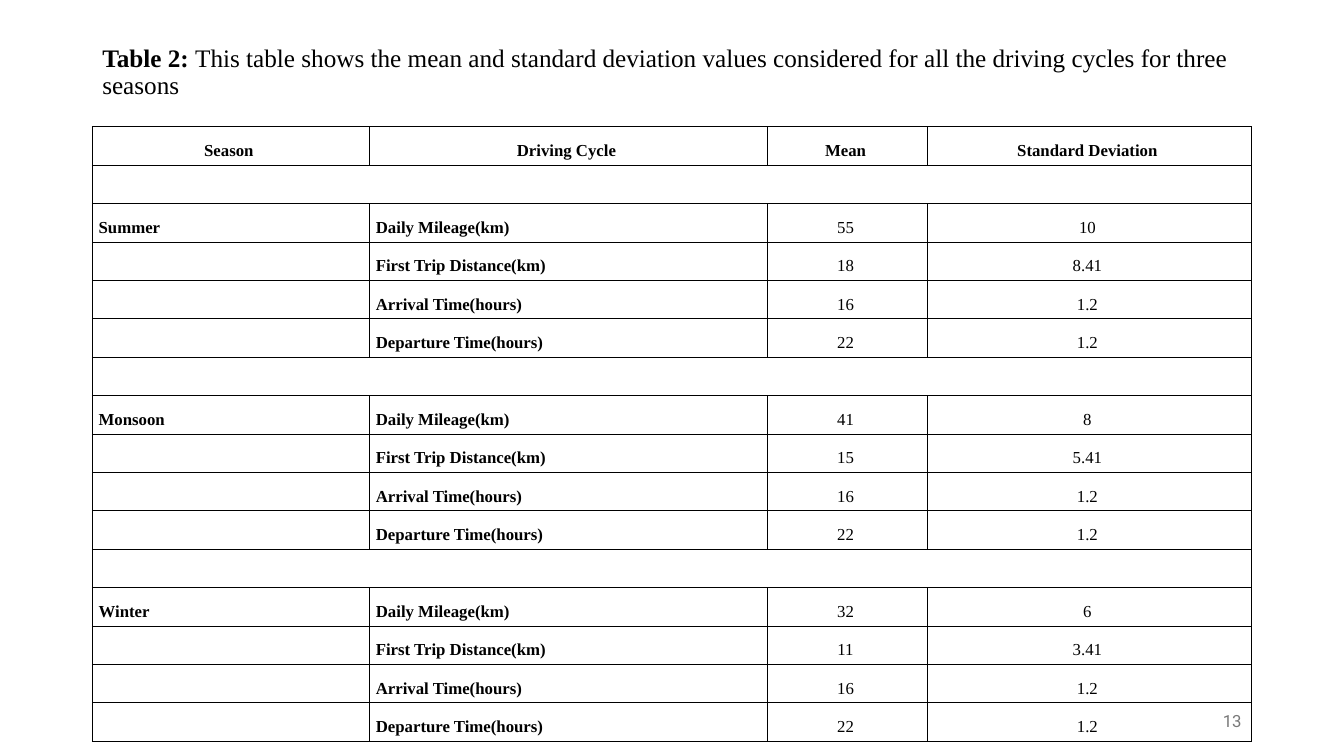
"""Build a slide with a table of seasonal driving cycle statistics."""
import pptx
import pptx.util
import pptx.dml.color
import pptx.enum.text
import pptx.oxml

Pt = pptx.util.Pt
ALIGN = pptx.enum.text.PP_ALIGN
MIDDLE = pptx.enum.text.MSO_ANCHOR.MIDDLE
NS = "http://schemas.openxmlformats.org/drawingml/2006/main"


def style(r, size, color, name="Times New Roman", bold=False):
    r.font.size = Pt(size)
    r.font.name = name
    r.font.bold = bold
    r.font.color.rgb = pptx.dml.color.RGBColor.from_string(color)


def add_text(s, left, top, width, height):
    tf = s.shapes.add_textbox(Pt(left), Pt(top), Pt(width), Pt(height)).text_frame
    tf.word_wrap = True
    tf.vertical_anchor = MIDDLE
    return tf.paragraphs[0]


prs = pptx.Presentation()
prs.slide_width, prs.slide_height = Pt(960), Pt(540)
s = prs.slides.add_slide(prs.slide_layouts[6])

p = add_text(s, 66, 0, 828, 104.4)
p.line_spacing = 0.9
for text, bold in [
    ("Table 2: ", True),
    ("This table shows the mean and standard deviation values considered "
     "for all the driving cycles for three seasons", False),
]:
    r = p.add_run()
    r.text = text
    style(r, 18, "000000", bold=bold)

cycles = ["Daily Mileage(km)", "First Trip Distance(km)",
          "Arrival Time(hours)", "Departure Time(hours)"]
seasons = {
    "Summer": [("55", "10"), ("18", "8.41"), ("16", "1.2"), ("22", "1.2")],
    "Monsoon": [("41", "8"), ("15", "5.41"), ("16", "1.2"), ("22", "1.2")],
    "Winter": [("32", "6"), ("11", "3.41"), ("16", "1.2"), ("22", "1.2")],
}
rows = [["Season", "Driving Cycle", "Mean", "Standard Deviation"]]
for season, values in seasons.items():
    rows.append([""] * 4)
    for i, (cycle, (mean, deviation)) in enumerate(zip(cycles, values)):
        rows.append([season if i == 0 else "", cycle, mean, deviation])

row_height = 27.45
table = s.shapes.add_table(len(rows), 4, Pt(66), Pt(90.5), Pt(828),
                           Pt(row_height * len(rows))).table
table.first_row = False
table.horz_banding = False
for column, width in zip(table.columns, [198, 284.4, 114.2, 231.4]):
    column.width = Pt(width)

for i, row in enumerate(rows):
    table.rows[i].height = Pt(row_height)
    for j, text in enumerate(row):
        cell = table.cell(i, j)
        cell.margin_left = cell.margin_right = Pt(4.5)
        cell.margin_top = cell.margin_bottom = Pt(3.6 if text else 0)
        if text:
            p = cell.text_frame.paragraphs[0]
            p.text = f"{text} "
            p.alignment = ALIGN.CENTER if i == 0 or j > 1 else ALIGN.JUSTIFY
            p.line_spacing = Pt(20.2)
            p.space_after = Pt(8)
            style(p.runs[0], 12, "000000", bold=i == 0 or j < 2)
        tcPr = cell._tc.get_or_add_tcPr()
        for side in ("lnL", "lnR", "lnT", "lnB"):
            tcPr.append(pptx.oxml.parse_xml(
                f'<a:{side} xmlns:a="{NS}" w="9525"><a:solidFill>'
                f'<a:srgbClr val="000000"/></a:solidFill></a:{side}>'))
        cell.fill.background()
    if not any(row):
        table.cell(i, 0).merge(table.cell(i, 3))

p = add_text(s, 678, 500.5, 216, 28.8)
p.text = "13"
p.alignment = ALIGN.RIGHT
style(p.runs[0], 12, "797979", "Roboto")

prs.save("out.pptx")
